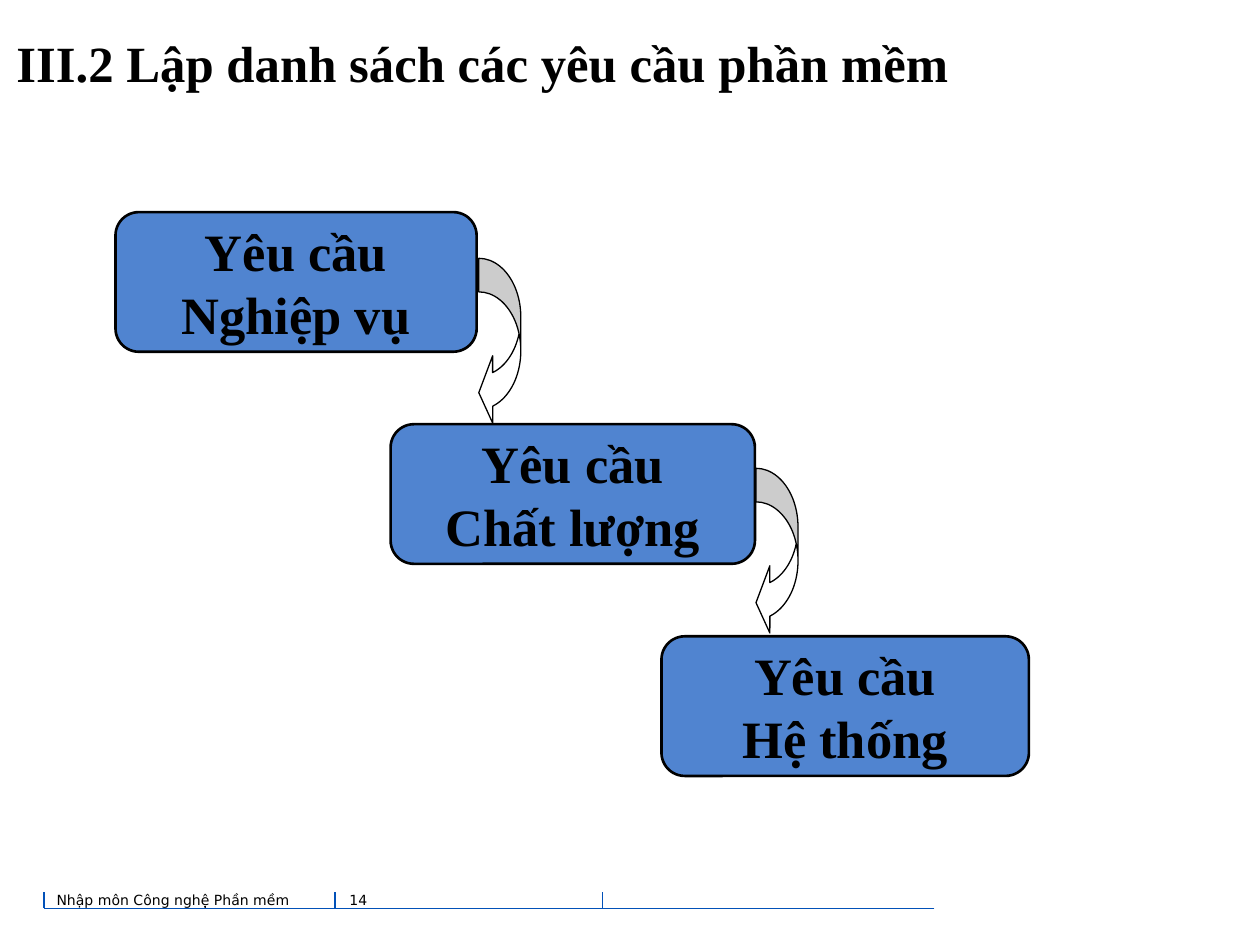
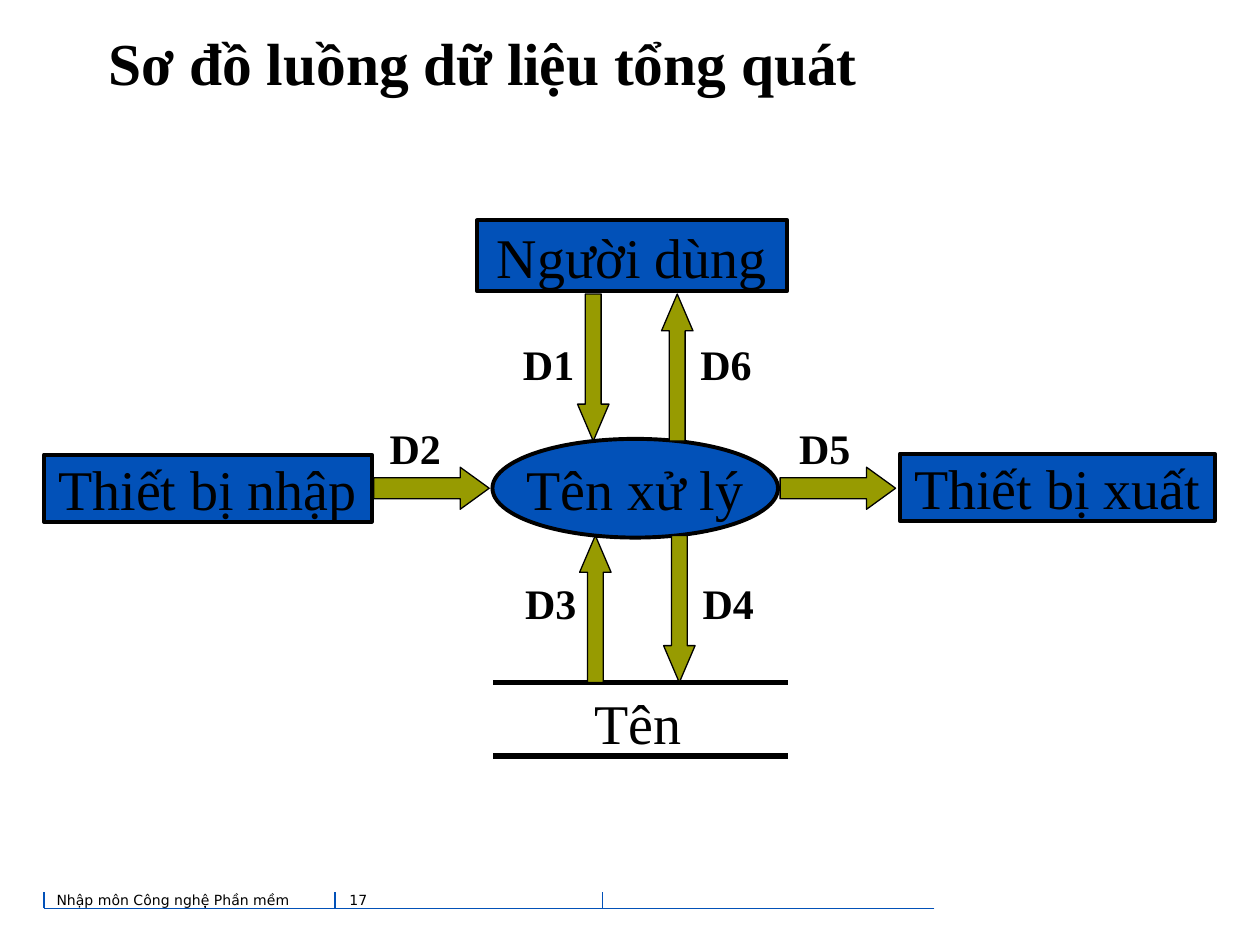
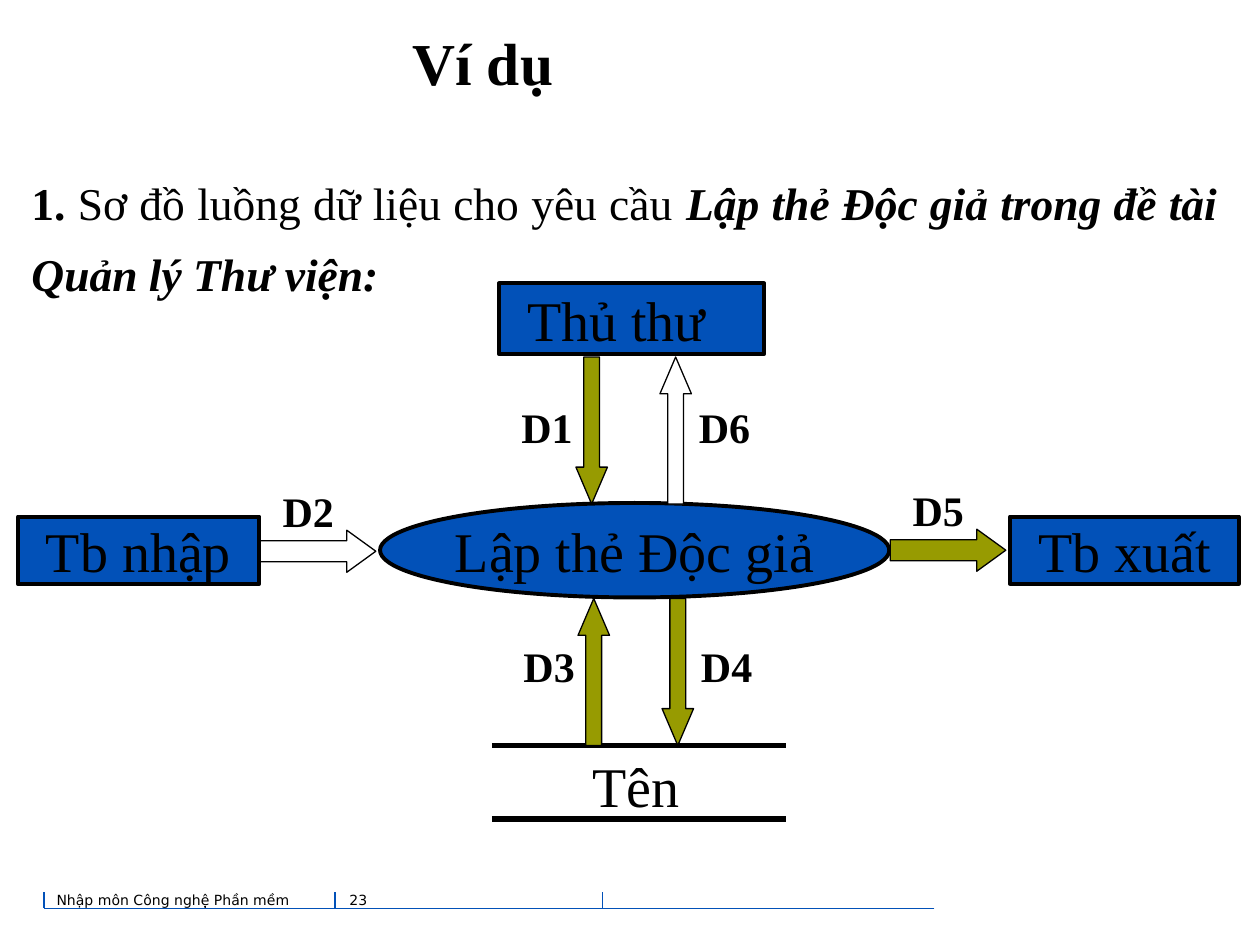
from dataclasses import dataclass

from lxml import etree
from pptx import Presentation
from pptx import util as u
from pptx.dml.color import RGBColor
from pptx.enum import shapes as es
from pptx.enum import text as et
from pptx.oxml import ns

KIND = es.MSO_SHAPE
ALIGN = et.PP_ALIGN
WIDE, HIGH = u.Inches(10), u.Inches(7.5)
COLS, ROWS = 120, 90


# Colours and type sizes
@dataclass(frozen=True)
class Theme:
    ink: str = "000000"
    white: str = "FFFFFF"
    blue: str = "0251B8"
    sky: str = "5084D0"
    olive: str = "979B01"
    serif: str = "Times New Roman"
    sans: str = "DejaVu Sans"
    title: int = 34
    long: int = 29
    step: int = 30
    node: int = 32
    body: int = 26
    tag: int = 24
    foot: int = 8
    thin: float = 0.75
    edge: float = 1.5
    thick: float = 2.25
    bar: float = 3


T = Theme()


# Lengths are columns and rows of the slide grid
@dataclass(frozen=True)
class Cell:
    x: float
    y: float
    w: float
    h: float


@dataclass(frozen=True)
class Node:
    text: str
    at: Cell
    kind: int = KIND.RECTANGLE
    right: float = 0


@dataclass(frozen=True)
class Arrow:
    name: str
    kind: int
    at: Cell
    tag: tuple[float, float]


@dataclass(frozen=True)
class Flow:
    nodes: tuple[Node, ...]
    sides: tuple[Arrow, ...]
    dx: float = 0
    dy: float = 0
    blank: tuple[str, ...] = ()


def col(n: float) -> int:
    return round(WIDE * n / COLS)


def row(n: float) -> int:
    return round(HIGH * n / ROWS)


def place(c: Cell) -> tuple[int, int, int, int]:
    return col(c.x), row(c.y), col(c.w), row(c.h)


# Text
def style(font, size: float, bold: bool = False, face: str = T.serif) -> None:
    font.name, font.size, font.bold = face, u.Pt(size), bold
    font.color.rgb = RGBColor.from_string(T.ink)


def fit(frame, wrap: bool = True, pad: float = 0, right: float = 0,
        mid: bool = True) -> None:
    frame.word_wrap = wrap
    frame.margin_left = frame.margin_top = frame.margin_bottom = u.Inches(pad)
    frame.margin_right = u.Inches(pad) + col(right)
    frame.vertical_anchor = et.MSO_ANCHOR.MIDDLE if mid else et.MSO_ANCHOR.TOP


def write(frame, words: str, size: float, bold: bool = False,
          face: str = T.serif, align=ALIGN.CENTER) -> None:
    frame.text = words
    for para in frame.paragraphs:
        para.alignment = align
        for run in para.runs:
            style(run.font, size, bold, face)


def label(slide, words: str, at: Cell, size: float, bold: bool = False,
          wrap: bool = False, mid: bool = False) -> None:
    frame = slide.shapes.add_textbox(*place(at)).text_frame
    fit(frame, wrap, mid=mid)
    write(frame, words, size, bold)


# Shapes and lines
def shape(slide, kind: int, at: Cell, fill: str, line: float, adj=()):
    item = slide.shapes.add_shape(kind, *place(at))
    item.shadow.inherit = False
    item.fill.solid()
    item.fill.fore_color.rgb = RGBColor.from_string(fill)
    item.line.color.rgb = RGBColor.from_string(T.ink)
    item.line.width = u.Pt(line)
    for i, part in enumerate(adj):
        item.adjustments[i] = part
    return item


def rule(slide, x1: float, y1: float, x2: float, y2: float,
         hue: str, width: float) -> None:
    line = slide.shapes.add_connector(
        es.MSO_CONNECTOR.STRAIGHT, col(x1), row(y1), col(x2), row(y2))
    line.line.color.rgb = RGBColor.from_string(hue)
    line.line.width = u.Pt(width)
    etree.SubElement(line._element.spPr, ns.qn("a:effectLst"))


# Title and footer shared by every slide
def start(deck, title: str, page: int, size: float = T.title):
    slide = deck.slides.add_slide(deck.slide_layouts[6])
    base, left = 86.5, 4.2
    rule(slide, 89, base, left, base, T.blue, T.thin)
    for x in (left, 31.9, 57.4):
        rule(slide, x, base, x, 85, T.blue, T.thin)
    for words, x, w in (("Nhập môn Công nghệ Phần mềm", 4.9, 26.3),
                        (str(page), 32.8, 15)):
        frame = slide.shapes.add_textbox(*place(Cell(x, 84.4, w, 3))).text_frame
        fit(frame, pad=0.04, mid=False)
        write(frame, words, T.foot, face=T.sans, align=ALIGN.LEFT)
    label(slide, title, Cell(0, 0.8, 92, 10.2), size, True, True, True)
    return slide


# Staircase of requirements
def stairs(slide) -> None:
    drop = 20.2
    steps = (("Yêu cầu Nghiệp vụ", 11, 34.4),
             ("Yêu cầu\nChất lượng", 37.2, 34.7),
             ("Yêu cầu\nHệ thống", 63, 35))
    for i, (words, x, w) in enumerate(steps, 1):
        box = shape(slide, KIND.ROUNDED_RECTANGLE,
                    Cell(x, drop * i, w, 13.3), T.sky, T.edge)
        fit(box.text_frame)
        write(box.text_frame, words, T.step, True)
    for i, x in enumerate((45.6, 72)):
        shape(slide, KIND.CURVED_LEFT_ARROW, Cell(x, 24.6 + 20 * i, 4, 16),
              T.white, T.thin, (0.8, 1.6, 0.33))


# Data flow diagram
def upright(name: str, kind: int, x: float, y: float,
            tag: tuple[float, float]) -> Arrow:
    return Arrow(name, kind, Cell(x, y, 3, 14), tag)


def side(name: str, x: float, y: float, shift: float) -> Arrow:
    return Arrow(name, KIND.RIGHT_ARROW, Cell(x, y, 11, 4),
                 (x + shift, y - 4.3))


POSTS = (
    upright("D1", KIND.DOWN_ARROW, 55, 28, (49.8, 32.2)),
    upright("D6", KIND.UP_ARROW, 63, 28, (66.7, 32.2)),
    upright("D3", KIND.UP_ARROW, 55.2, 51, (50, 55)),
    upright("D4", KIND.DOWN_ARROW, 63.2, 51, (66.9, 55)),
)


def arrow(slide, a: Arrow, fill: str, dx: float = 0, dy: float = 0) -> None:
    head = 0.69 if a.kind == KIND.RIGHT_ARROW else 1.17
    at = Cell(a.at.x + dx, a.at.y + dy, a.at.w, a.at.h)
    shape(slide, a.kind, at, fill, T.thin, (0.5, head))
    x, y = a.tag
    label(slide, a.name, Cell(x + dx, y + dy, 4.9, 4.8), T.tag, True)


def draw(slide, flow: Flow) -> None:
    for node in flow.nodes:
        box = shape(slide, node.kind, node.at, T.blue, T.thick)
        fit(box.text_frame, False, right=node.right)
        write(box.text_frame, node.text, T.node)
    # Data store
    dx, dy = flow.dx, flow.dy
    for y in (65, 72):
        rule(slide, 47 + dx, y + dy, 75 + dx, y + dy, T.ink, T.bar)
    label(slide, "Tên", Cell(56.6 + dx, 65.6 + dy, 8.3, 6.4), T.node)
    # Arrows with their names
    for post in POSTS:
        arrow(slide, post, T.white if post.name in flow.blank else T.olive,
              dx, dy)
    for a in flow.sides:
        arrow(slide, a, T.white if a.name in flow.blank else T.olive)


GENERAL = Flow(
    nodes=(Node("Tên xử lý", Cell(46.9, 41.8, 27.2, 9.4), KIND.OVAL),
           Node("Người dùng", Cell(45.4, 21, 29.6, 6.7)),
           Node("Thiết bị nhập", Cell(4.2, 43.3, 31.2, 6.4)),
           Node("Thiết bị xuất", Cell(85.7, 43.2, 30, 6.4))),
    sides=(side("D2", 35.6, 44.5, 1.5), side("D5", 74.3, 44.5, 1.8)))

LIBRARY = Flow(
    nodes=(Node("Lập thẻ Độc giả", Cell(36.2, 47.9, 48.5, 9), KIND.OVAL),
           Node("Thủ thư", Cell(47.5, 27, 25.3, 6.7), right=2.9),
           Node("Tb nhập", Cell(1.7, 49.2, 23, 6.4)),
           Node("Tb xuất", Cell(96.2, 49.2, 21.8, 6.4))),
    sides=(side("D2", 24.8, 50.5, 2.1), side("D5", 84.8, 50.4, 2.1)),
    dx=-0.15, dy=6, blank=("D2", "D6"))


# Lead sentence of the example
def lead(slide) -> None:
    frame = slide.shapes.add_textbox(*place(Cell(3, 15.1, 113, 13.6))).text_frame
    fit(frame, mid=False)
    para = frame.paragraphs[0]
    para.alignment, para.line_spacing = ALIGN.JUSTIFY, 1.3
    for words, bold, slant in (
            ("1.", True, False),
            (" Sơ đồ luồng dữ liệu cho yêu cầu ", False, False),
            ("Lập thẻ Độc giả trong đề tài Quản lý Thư viện:", True, True)):
        run = para.add_run()
        run.text = words
        style(run.font, T.body, bold)
        run.font.italic = slant


def main() -> None:
    deck = Presentation()
    deck.slide_width, deck.slide_height = WIDE, HIGH
    stairs(start(deck, "III.2 Lập danh sách các yêu cầu phần mềm", 14, T.long))
    draw(start(deck, "Sơ đồ luồng dữ liệu tổng quát", 17), GENERAL)
    sample = start(deck, "Ví dụ", 23)
    draw(sample, LIBRARY)
    lead(sample)
    deck.save("out.pptx")


if __name__ == "__main__":
    main()
